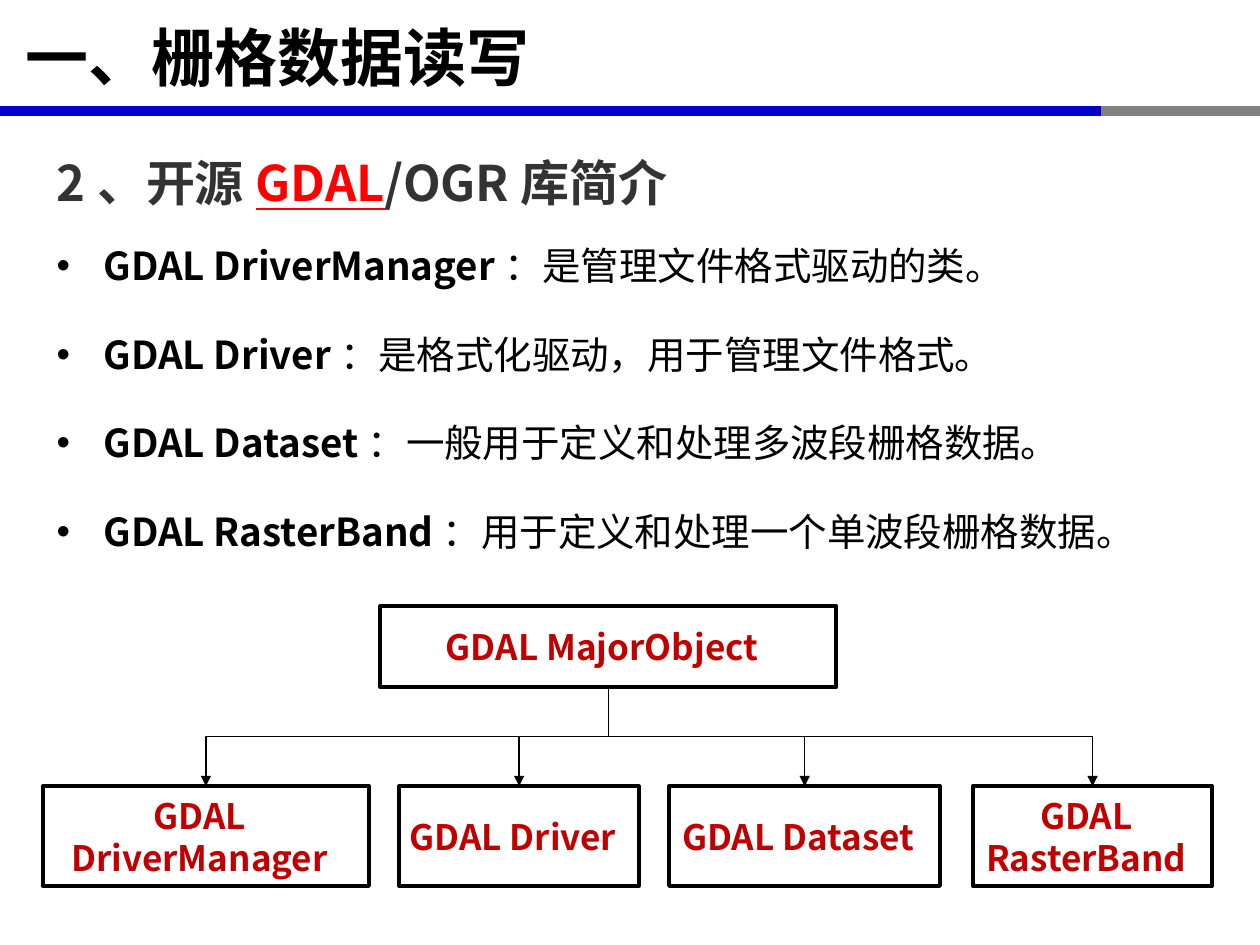
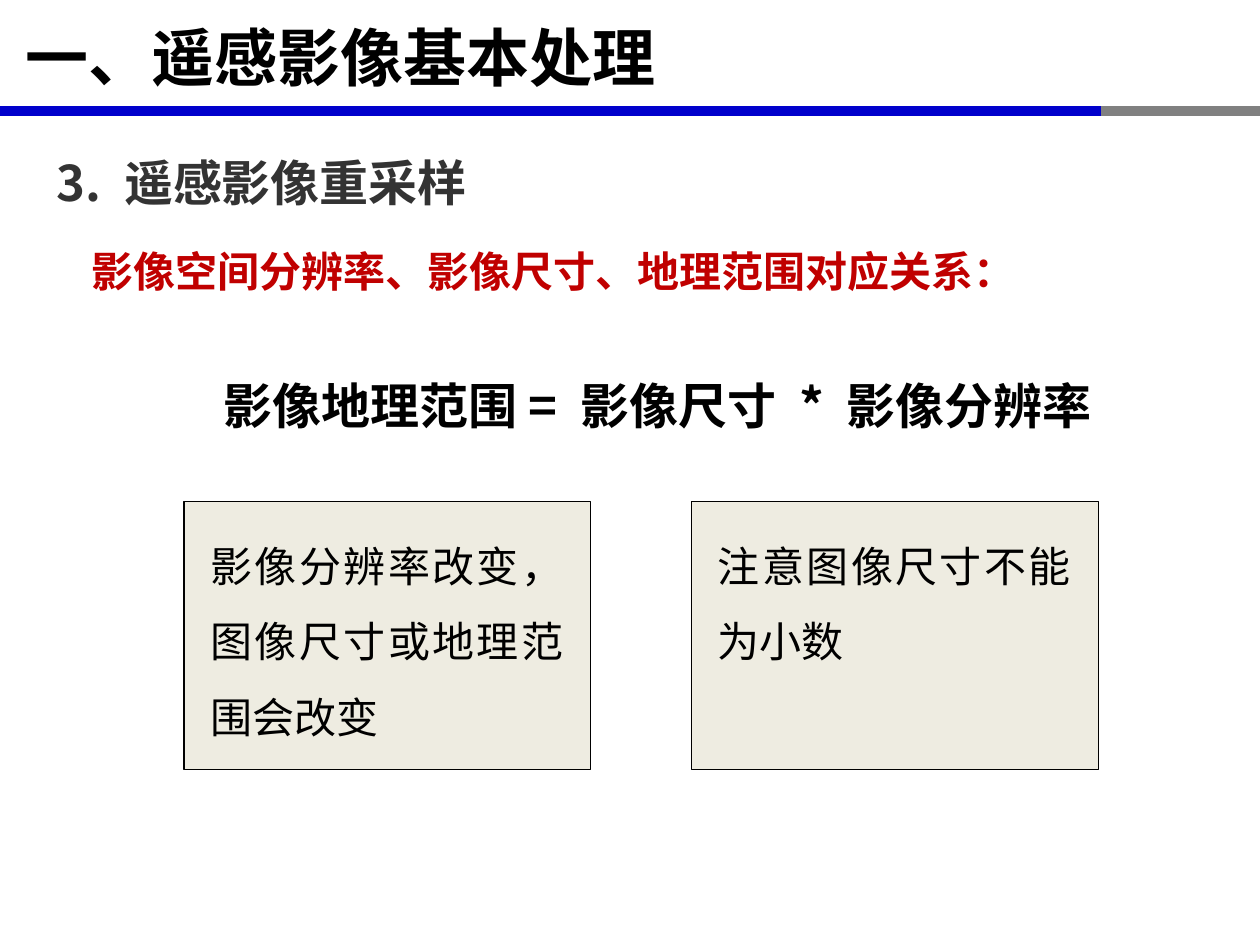
from dataclasses import dataclass

from lxml import etree
from pptx import Presentation
from pptx.dml.color import RGBColor
from pptx.enum.shapes import MSO_CONNECTOR, MSO_SHAPE
from pptx.enum.text import MSO_ANCHOR, MSO_AUTO_SIZE, PP_ALIGN
from pptx.oxml.ns import qn
from pptx.util import Cm, Pt

RECTANGLE = MSO_SHAPE.RECTANGLE
ELBOW = MSO_CONNECTOR.ELBOW
LEFT, CENTER, JUSTIFY = PP_ALIGN.LEFT, PP_ALIGN.CENTER, PP_ALIGN.JUSTIFY
TOP, MIDDLE = MSO_ANCHOR.TOP, MSO_ANCHOR.MIDDLE
FIXED, GROW = MSO_AUTO_SIZE.NONE, MSO_AUTO_SIZE.SHAPE_TO_FIT_TEXT
BOTTOM_SITE, TOP_SITE = 2, 0
CONTENT_LAYOUT, TITLE_LAYOUT = 1, 5

FONT = "Noto Sans CJK SC"
COLORS = {
    "black": "000000",
    "heading": "333333",
    "link": "FF0000",
    "accent": "C00000",
    "band": "0000CC",
    "band_end": "808080",
    "card": "EEECE1",
}


@dataclass(frozen=True)
class Area:
    left: float
    top: float
    width: float
    height: float

    def lengths(self) -> tuple:
        return Cm(self.left), Cm(self.top), Cm(self.width), Cm(self.height)


@dataclass(frozen=True)
class Span:
    text: str
    color: str = "black"
    bold: bool = True
    underline: bool = False


@dataclass(frozen=True)
class ClassBox:
    name: str
    left: float
    width: float


@dataclass(frozen=True)
class Card:
    text: str
    left: float
    text_height: float


BANDS = [
    ("band", Area(0, 2.14, 25.28, 0.2)),
    ("band_end", Area(22.2, 2.14, 3.2, 0.2)),
]
TITLE_AREA = Area(0, 0.03, 25.04, 2.21)
HEADING_AREA = Area(0.89, 2.36, 23.65, 1.83)
LIST_AREA = Area(0.89, 4.29, 22.91, 7.14)

CLASS_NOTES = [
    ("GDAL DriverManager", "：是管理文件格式驱动的类。"),
    ("GDAL Driver", "：是格式化驱动，用于管理文件格式。"),
    ("GDAL Dataset", "：一般用于定义和处理多波段栅格数据。"),
    ("GDAL RasterBand", "：用于定义和处理一个单波段栅格数据。"),
]
BASE_AREA = Area(7.67, 12.22, 9.19, 1.63)
SUBCLASS_TOP, SUBCLASS_HEIGHT = 15.85, 2.01
SUBCLASSES = [
    ClassBox("GDAL DriverManager", 0.86, 6.58),
    ClassBox("GDAL Driver", 8.05, 4.83),
    ClassBox("GDAL Dataset", 13.49, 5.46),
    ClassBox("GDAL RasterBand", 19.61, 4.83),
]

CARD_TOP, CARD_WIDTH, CARD_HEIGHT = 10.11, 8.2, 5.41
CARDS = [
    Card("影像分辨率改变，图像尺寸或地理范围会改变", 3.71, 4.7),
    Card("注意图像尺寸不能为小数", 13.94, 3.15),
]


def rgb(name: str) -> RGBColor:
    return RGBColor.from_string(COLORS[name])


def write_para(para, spans: list[Span], size: float, align=LEFT,
               line_spacing: float = 1.0, spaced: bool = True) -> None:
    para.alignment = align
    para.line_spacing = line_spacing
    para.space_before = Pt(size / 2 if spaced else 0)
    for span in spans:
        run = para.add_run()
        run.text = span.text
        font = run.font
        font.name = FONT
        font.size = Pt(size)
        font.bold = span.bold
        font.underline = span.underline
        font.color.rgb = rgb(span.color)
        etree.SubElement(font._element, qn("a:ea"), typeface=FONT)


def set_indent(para, margin: float, first_line: float) -> None:
    properties = para._p.get_or_add_pPr()
    properties.set("marL", str(Cm(margin)))
    properties.set("indent", str(Cm(first_line)))


def place(shape, area: Area) -> None:
    shape.left, shape.top, shape.width, shape.height = area.lengths()


def prepare_frame(frame, anchor=TOP, auto_size=FIXED) -> None:
    frame.word_wrap = True
    frame.vertical_anchor = anchor
    frame.auto_size = auto_size


def add_text(page, area: Area, spans: list[Span], size: float, **layout):
    box = page.shapes.add_textbox(*area.lengths())
    prepare_frame(box.text_frame, auto_size=GROW)
    write_para(box.text_frame.paragraphs[0], spans, size, **layout)
    return box


def add_box(page, area: Area, fill: str = "", line_width: float = 0):
    box = page.shapes.add_shape(RECTANGLE, *area.lengths())
    box.shadow.inherit = False
    if fill:
        box.fill.solid()
        box.fill.fore_color.rgb = rgb(fill)
    else:
        box.fill.background()
    if line_width:
        box.line.color.rgb = rgb("black")
        box.line.width = Pt(line_width)
    else:
        box.line.fill.background()
    return box


def add_class_box(page, name: str, area: Area):
    box = add_box(page, area, line_width=2.25)
    frame = box.text_frame
    prepare_frame(frame, anchor=MIDDLE)
    frame.margin_left = 0
    write_para(frame.paragraphs[0], [Span(name, "accent")], 20, align=CENTER)
    return box


def add_elbow_arrow(page, parent, child) -> None:
    start_x, start_y = parent.left + parent.width // 2, parent.top + parent.height
    end_x, end_y = child.left + child.width // 2, child.top
    drop, reach = end_y - start_y, abs(end_x - start_x)
    arrow = page.shapes.add_connector(ELBOW, start_x, start_y, end_x, end_y)
    arrow.begin_connect(parent, BOTTOM_SITE)
    arrow.end_connect(child, TOP_SITE)
    arrow.left = (start_x + end_x - drop) // 2
    arrow.top = (start_y + end_y - reach) // 2
    arrow.width, arrow.height = drop, reach
    goes_right = end_x > start_x
    properties = arrow._element.spPr
    transform = properties.get_or_add_xfrm()
    transform.rot = 270 if goes_right else 90
    transform.flipH = goes_right
    arrow.line.color.rgb = rgb("black")
    arrow.line.width = Pt(0.75)
    etree.SubElement(arrow.line._get_or_add_ln(), qn("a:tailEnd"), type="triangle")
    etree.SubElement(properties, qn("a:effectLst"))


def add_page(deck, layout: int, title: str, heading: list[Span]):
    page = deck.slides.add_slide(deck.slide_layouts[layout])
    for color, area in BANDS:
        add_box(page, area, fill=color)
    place(page.shapes.title, TITLE_AREA)
    frame = page.shapes.title.text_frame
    prepare_frame(frame, anchor=MIDDLE)
    write_para(frame.paragraphs[0], [Span(title)], 36, spaced=False)
    set_indent(frame.paragraphs[0], 0, 0.25)
    add_text(page, HEADING_AREA, heading, 28, align=JUSTIFY, line_spacing=1.5)
    return page


def build_library_page(deck) -> None:
    heading = [
        Span("2、开源", "heading"),
        Span("GDAL", "link", underline=True),
        Span("/OGR库简介", "heading"),
    ]
    page = add_page(deck, CONTENT_LAYOUT, "一、栅格数据读写", heading)
    body = page.placeholders[1]
    place(body, LIST_AREA)
    frame = body.text_frame
    prepare_frame(frame)
    for index, (name, note) in enumerate(CLASS_NOTES):
        para = frame.add_paragraph() if index else frame.paragraphs[0]
        write_para(para, [Span(name), Span(note, bold=False)], 22, line_spacing=1.5)
        set_indent(para, 0.95, -0.95)
    base = add_class_box(page, "GDAL MajorObject", BASE_AREA)
    for item in SUBCLASSES:
        area = Area(item.left, SUBCLASS_TOP, item.width, SUBCLASS_HEIGHT)
        add_elbow_arrow(page, base, add_class_box(page, item.name, area))


def build_resampling_page(deck) -> None:
    page = add_page(deck, TITLE_LAYOUT, "一、遥感影像基本处理",
                    [Span("3. 遥感影像重采样", "heading")])
    add_text(page, Area(1.14, 7.44, 24.23, 1.45),
             [Span("影像地理范围= 影像尺寸 * 影像分辨率")], 28, align=CENTER)
    add_text(page, Area(1.6, 4.83, 22.2, 1.27),
             [Span("影像空间分辨率、影像尺寸、地理范围对应关系：", "accent")],
             24, align=JUSTIFY)
    for card in CARDS:
        add_box(page, Area(card.left, CARD_TOP, CARD_WIDTH, CARD_HEIGHT),
                fill="card", line_width=0.75)
        add_text(page, Area(card.left + 0.28, CARD_TOP + 0.15, 7.62, card.text_height),
                 [Span(card.text, bold=False)], 24, align=JUSTIFY, line_spacing=1.5)


def main() -> None:
    deck = Presentation()
    deck.slide_width, deck.slide_height = Cm(25.4), Cm(19.05)
    build_library_page(deck)
    build_resampling_page(deck)
    deck.save("out.pptx")


if __name__ == "__main__":
    main()
